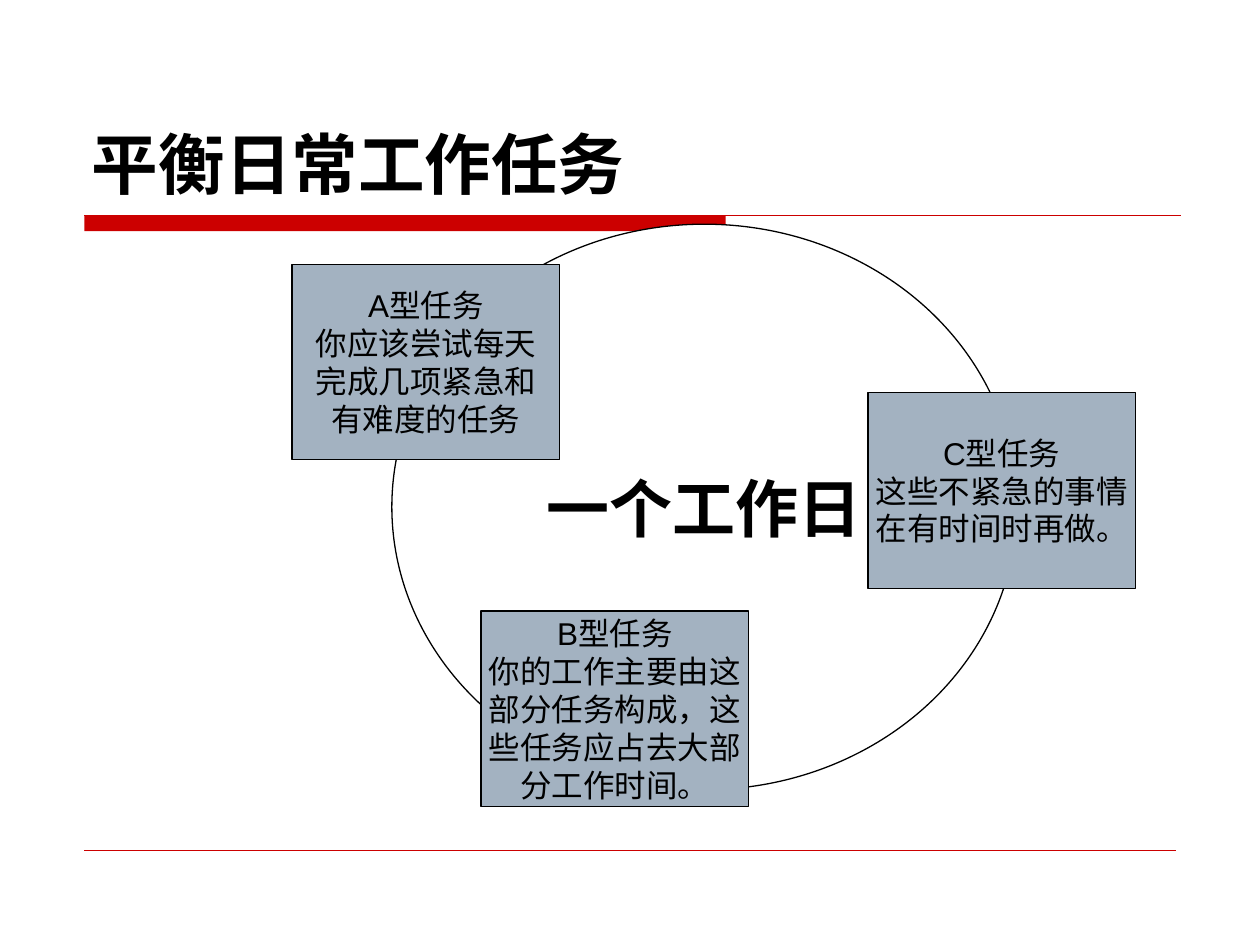
from lxml import etree
from pptx import Presentation
from pptx.dml.color import RGBColor
from pptx.enum.lang import MSO_LANGUAGE_ID
from pptx.enum.shapes import MSO_CONNECTOR, MSO_SHAPE
from pptx.enum.text import MSO_ANCHOR, MSO_AUTO_SIZE, PP_ALIGN
from pptx.oxml.ns import qn
from pptx.util import Cm, Pt

STRAIGHT = MSO_CONNECTOR.STRAIGHT
RECTANGLE, OVAL = MSO_SHAPE.RECTANGLE, MSO_SHAPE.OVAL
MIDDLE, BOTTOM = MSO_ANCHOR.MIDDLE, MSO_ANCHOR.BOTTOM
LEFT, CENTER = PP_ALIGN.LEFT, PP_ALIGN.CENTER
NO_AUTOFIT = MSO_AUTO_SIZE.NONE
CHINESE = MSO_LANGUAGE_ID.SIMPLIFIED_CHINESE

RED, BLACK, WHITE, TASK_BLUE = "CC0000", "000000", "FFFFFF", "A3B2C1"
MARGIN = 1.7
RULE_TOP = 4.34


def color(hex_value):
    return RGBColor.from_string(hex_value)


def write(text_frame, lines, alignment, font_format):
    text_frame.text = "\n".join(lines)
    for paragraph in text_frame.paragraphs:
        paragraph.alignment = alignment
        for run in paragraph.runs:
            run.font.color.rgb = color(BLACK)
            run.font.language_id = CHINESE
            for attribute, value in font_format.items():
                setattr(run.font, attribute, value)


prs = Presentation()
prs.slide_width, prs.slide_height = Cm(25.4), Cm(19.05)
slide = prs.slides.add_slide(prs.slide_layouts[5])
shapes = slide.shapes

# Title
title = shapes.title
title.left, title.top, title.width, title.height = Cm(1.6), Cm(0.84), Cm(22.22), Cm(3.38)
title_frame = title.text_frame
title_frame.auto_size = NO_AUTOFIT
title_frame.vertical_anchor = BOTTOM
write(title_frame, ["平衡日常工作任务"], LEFT,
      {"name": "DejaVu Sans", "size": Pt(38), "bold": True})

# Red bar under the title
title_bar = shapes.add_shape(RECTANGLE, Cm(MARGIN), Cm(RULE_TOP), Cm(12.93), Cm(0.32))
title_bar.shadow.inherit = False
title_bar.fill.solid()
title_bar.fill.fore_color.rgb = color(RED)
title_bar.line.fill.background()

# Thin rules at the top and bottom
for right, top, weight in [(23.8, RULE_TOP, 0.75), (23.7, 17.15, 0.25)]:
    rule = shapes.add_connector(STRAIGHT, Cm(MARGIN), Cm(top), Cm(right), Cm(top))
    rule.line.color.rgb = color(RED)
    rule.line.width = Pt(weight)
    etree.SubElement(rule.element.spPr, qn("a:effectLst"))

# Working day circle with the three task types around it
day_font = {"name": "Arial", "size": Pt(36), "bold": True}
task_font = {"name": "Arial", "size": Pt(18), "bold": False}
task_size = (5.39, 3.94)
cycle = [
    (OVAL, (7.9, 4.52), (12.6, 11.4), WHITE, day_font, ["一个工作日"]),
    (RECTANGLE, (5.89, 5.33), task_size, TASK_BLUE, task_font,
     ["A型任务", "你应该尝试每天", "完成几项紧急和", "有难度的任务"]),
    (RECTANGLE, (9.7, 12.32), task_size, TASK_BLUE, task_font,
     ["B型任务", "你的工作主要由这", "部分任务构成，这", "些任务应占去大部", "分工作时间。"]),
    (RECTANGLE, (17.5, 7.92), task_size, TASK_BLUE, task_font,
     ["C型任务", "这些不紧急的事情", "在有时间时再做。"]),
]
for outline, position, size, fill, font_format, lines in cycle:
    part = shapes.add_shape(outline, *map(Cm, position + size))
    part.shadow.inherit = False
    part.fill.solid()
    part.fill.fore_color.rgb = color(fill)
    part.line.color.rgb = color(BLACK)
    part.line.width = Pt(0.75)
    part.text_frame.word_wrap = False
    part.text_frame.vertical_anchor = MIDDLE
    write(part.text_frame, lines, CENTER, font_format)

prs.save("out.pptx")
